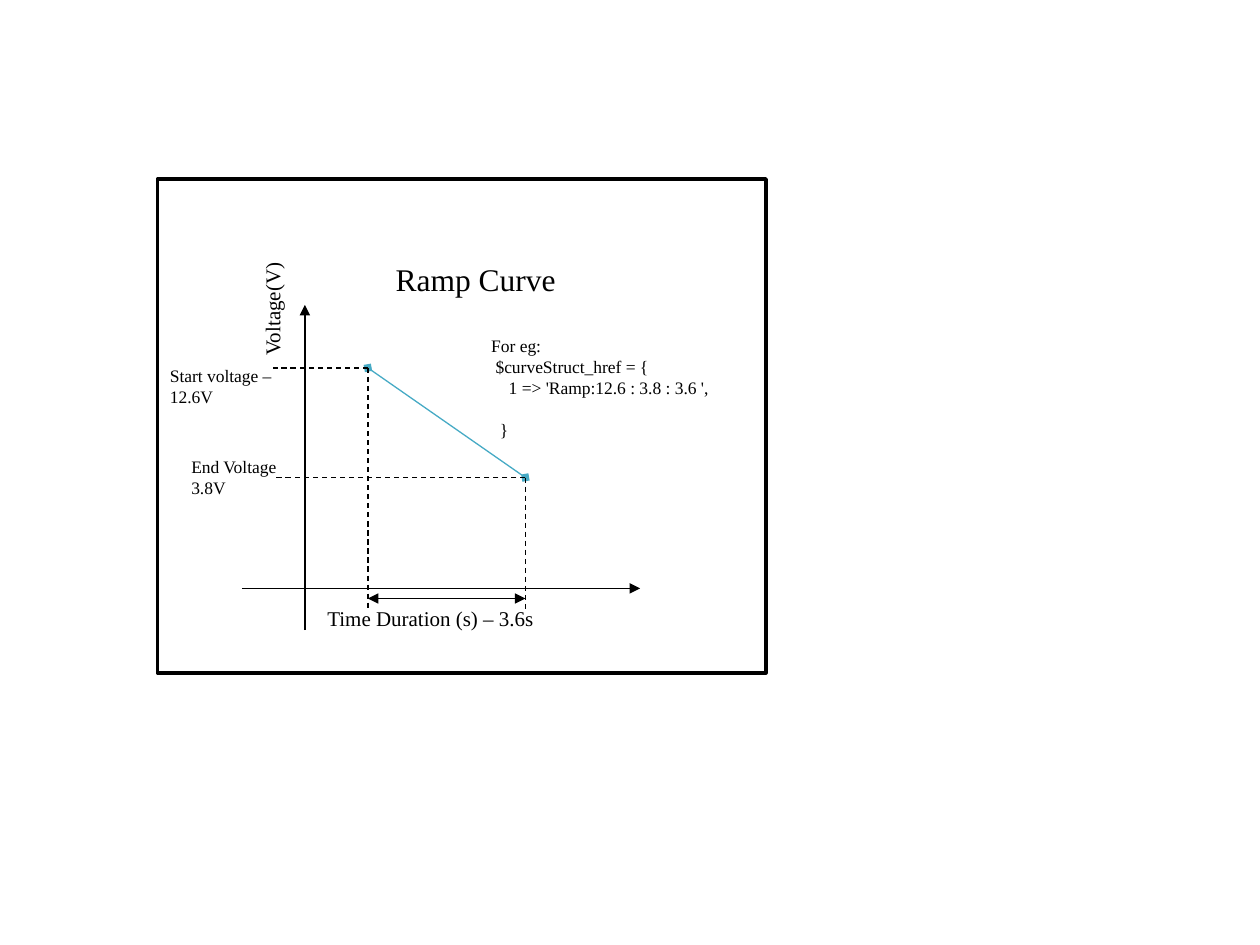
import pptx
import pptx.dml.color
import pptx.enum.dml
import pptx.enum.shapes
import pptx.enum.text
import pptx.oxml.ns
import pptx.util
from lxml import etree

Inches, Pt = pptx.util.Inches, pptx.util.Pt
BLACK, WHITE, TEAL = "000000", "FFFFFF", "46AAC5"


def rgb(value):
    return pptx.dml.color.RGBColor.from_string(value)


def add_xml(parent, tag, **attrs):
    return etree.SubElement(parent, pptx.oxml.ns.qn(tag), attrs)


class Sketch:
    font = "Times New Roman"

    def __init__(self, slide):
        self.s = slide

    def frame(self, left, top, width, height):
        sp = self.s.shapes.add_shape(pptx.enum.shapes.MSO_SHAPE.RECTANGLE,
                                     *map(Inches, (left, top, width, height)))
        sp.shadow.inherit = False
        sp.fill.solid()
        sp.fill.fore_color.rgb = rgb(WHITE)
        sp.line.color.rgb = rgb(BLACK)
        sp.line.width = Pt(2)

    def line(self, start, end, color=BLACK, dashed=False, head=None, tail=None):
        """Draw from start to end; head is the arrowhead at start, tail at end."""
        cx = self.s.shapes.add_connector(pptx.enum.shapes.MSO_CONNECTOR.STRAIGHT,
                                         *map(Inches, start + end))
        cx.line.color.rgb = rgb(color)
        cx.line.width = Pt(0.75)
        if dashed:
            cx.line.dash_style = pptx.enum.dml.MSO_LINE.DASH
        ln = cx.line._get_or_add_ln()
        for tag, kind in (("a:headEnd", head), ("a:tailEnd", tail)):
            if kind:
                add_xml(ln, tag, type=kind)
        add_xml(cx._element.spPr, "a:effectLst")

    def fill_text(self, sp, lines, size):
        """Fill a shape with (text, left indent, space before) lines, in points."""
        tf = sp.text_frame
        frame_format = {"word_wrap": True,
                        "auto_size": pptx.enum.text.MSO_AUTO_SIZE.NONE,
                        "vertical_anchor": pptx.enum.text.MSO_ANCHOR.TOP}
        for name, value in frame_format.items():
            setattr(tf, name, value)
        for i, (text, indent, before) in enumerate(lines):
            p = tf.add_paragraph() if i else tf.paragraphs[0]
            p.alignment = pptx.enum.text.PP_ALIGN.LEFT
            p.space_before = Pt(before)
            if indent:
                p._p.get_or_add_pPr().set("marL", str(Pt(indent)))
            r = p.add_run()
            r.text = text
            for name, value in {"name": self.font, "size": Pt(size)}.items():
                setattr(r.font, name, value)
            r.font.color.rgb = rgb(BLACK)

    def text(self, box, lines, size, vert=None):
        sp = self.s.shapes.add_textbox(*map(Inches, box))
        self.fill_text(sp, lines, size)
        if vert:
            sp.text_frame._txBody.bodyPr.set("vert", vert)

    def title(self, box, text, size):
        """Place the title in front of the shapes drawn so far."""
        sp = self.s.shapes.title
        self.s.shapes._spTree.append(sp._element)
        for name, value in zip(("left", "top", "width", "height"), box):
            setattr(sp, name, Inches(value))
        self.fill_text(sp, [(text, 0, 0)], size)


def main():
    prs = pptx.Presentation()
    prs.slide_width, prs.slide_height = Inches(10), Inches(7.5)
    sketch = Sketch(prs.slides.add_slide(prs.slide_layouts[5]))

    start_x, start_y = ramp_start = (2.92, 2.92)
    end_x, end_y = ramp_end = (4.17, 3.79)
    guide_left, guide_bottom, duration_y = 2.17, 4.83, 4.75

    sketch.frame(1.25, 1.42, 4.83, 3.92)
    sketch.line((2.42, 5), (2.42, 2.42), tail="triangle")
    sketch.line((1.92, 4.67), (5.08, 4.67), tail="triangle")
    sketch.line(ramp_start, ramp_end, TEAL, head="diamond", tail="diamond")
    for x, y in (ramp_start, ramp_end):
        sketch.line((x, y), (guide_left, y), dashed=True)
        sketch.line((x, y), (x, guide_bottom), dashed=True)
    sketch.line((start_x, duration_y), (end_x, duration_y),
                head="triangle", tail="triangle")

    sketch.text((2.01, 1.87, 0.4, 1.05), [("Voltage(V)", 0, 0)], 12, "vert270")
    sketch.text((1.25, 2.85, 1.17, 0.44), [("Start voltage – 12.6V", 0, 0)], 10)
    sketch.text((2.5, 4.76, 1.9, 0.3), [("Time Duration (s) – 3.6s", 0, 0)], 12)
    sketch.text((1.42, 3.57, 1, 0.44), [("End Voltage 3.8V", 0, 0)], 10)
    sketch.title((3.04, 2.01, 1.96, 0.4), "Ramp Curve", 18)
    sketch.text((3.8, 2.61, 1.98, 0.77),
                [("For eg:", 0, 0),
                 ("$curveStruct_href = {", 2.5, 0),
                 ("1 => 'Ramp:12.6 : 3.8 : 3.6 ',", 10, 0),
                 ("}", 5, 12)], 10)
    prs.save("out.pptx")


if __name__ == "__main__":
    main()
